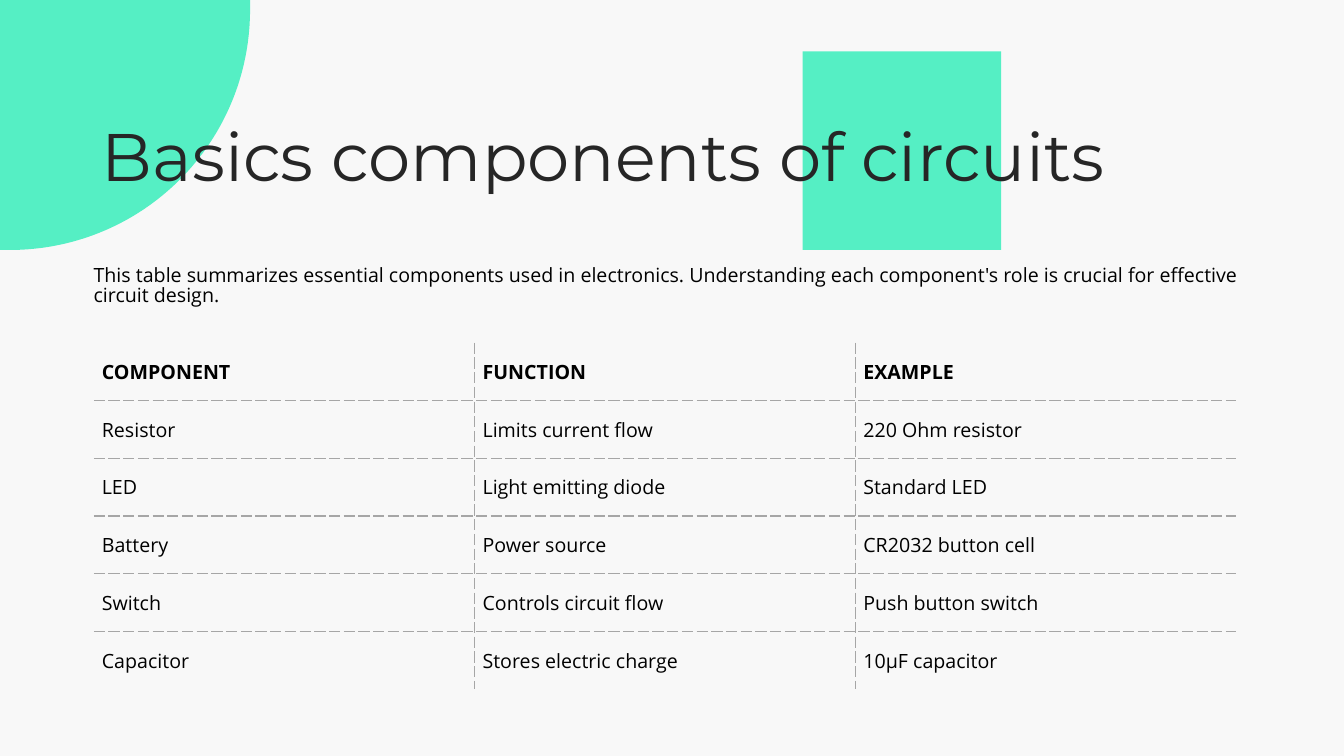
from math import cos, pi, sin

from lxml.etree import SubElement
from pptx import Presentation
from pptx.dml.color import RGBColor
from pptx.enum.shapes import MSO_SHAPE
from pptx.enum.text import MSO_ANCHOR
from pptx.oxml.ns import qn
from pptx.util import Inches, Pt

MINT, INK, BLACK, RULE, PAPER = "55EFC4", "262626", "000000", "A6A6A6", "F8F8F8"
HEADING_FONT, BODY_FONT = "Montserrat", "Open Sans"

INTRO = ("This table summarizes essential components used in electronics. "
         "Understanding each component's role is crucial for effective circuit design.")
COMPONENTS = [
    ("COMPONENT", "FUNCTION", "EXAMPLE"),
    ("Resistor", "Limits current flow", "220 Ohm resistor"),
    ("LED", "Light emitting diode", "Standard LED"),
    ("Battery", "Power source", "CR2032 button cell"),
    ("Switch", "Controls circuit flow", "Push button switch"),
    ("Capacitor", "Stores electric charge", "10µF capacitor"),
]


def paint(color_format, color):
    color_format.rgb = RGBColor.from_string(color)


def fill_shape(shape, color):
    shape.shadow.inherit = False
    shape.fill.solid()
    paint(shape.fill.fore_color, color)
    shape.line.fill.background()


def place(shape, box):
    shape.left, shape.top, shape.width, shape.height = map(Inches, box)


def write(para, text, size, font, color, bold=False):
    span = para.add_run()
    span.text = text
    span.font.size = Pt(size)
    span.font.name = font
    span.font.bold = bold
    paint(span.font.color, color)


def add_square(page, box):
    square = page.shapes.add_shape(MSO_SHAPE.RECTANGLE, *map(Inches, box))
    fill_shape(square, MINT)


def add_corner_disc(page, box, offset=0.1, steps=90):
    """Quarter disc whose centre lies slightly inside the box's top left corner."""
    left, top, width, height = box
    radius_x, radius_y = width - offset, height - offset
    angles = [pi / 2 * step / steps for step in range(steps + 1)]
    arc = [(left + offset + radius_x * cos(angle), top + offset + radius_y * sin(angle))
           for angle in angles]
    outline = [(left + width, top), *arc, (left, top + height)]
    builder = page.shapes.build_freeform(Inches(left), Inches(top))
    builder.add_line_segments([(Inches(x), Inches(y)) for x, y in outline], close=True)
    fill_shape(builder.convert_to_shape(), MINT)


def add_title(page, box, text):
    title = page.shapes.title
    place(title, box)
    page.shapes.element.append(title.element)  # bring in front of the decoration
    frame = title.text_frame
    frame.word_wrap = True
    frame.vertical_anchor = MSO_ANCHOR.TOP
    para = frame.paragraphs[0]
    para.alignment = 1
    para.line_spacing = 0.9
    write(para, text, 48, HEADING_FONT, INK)


def add_intro(page, box, text):
    frame = page.shapes.add_textbox(*map(Inches, box)).text_frame
    frame.word_wrap = True
    frame.vertical_anchor = MSO_ANCHOR.MIDDLE
    para = frame.paragraphs[0]
    para.line_spacing = 0.87
    write(para, text, 14, BODY_FONT, BLACK)


def set_borders(cell, visible_sides):
    """Dashed rules on the given sides, no line on the others."""
    properties = cell._tc.get_or_add_tcPr()
    for position, side in enumerate("LRTB"):
        border = SubElement(properties, qn(f"a:ln{side}"), w=str(Pt(1)))
        properties.insert(position, border)
        if side in visible_sides:
            solid = SubElement(border, qn("a:solidFill"))
            SubElement(solid, qn("a:srgbClr"), val=RULE)
            SubElement(border, qn("a:prstDash"), val="sysDash")
        else:
            SubElement(border, qn("a:noFill"))


def add_component_table(page, box, rows):
    row_count, column_count = len(rows), len(rows[0])
    table = page.shapes.add_table(row_count, column_count, *map(Inches, box)).table
    table.first_row = table.horz_banding = False
    for row_index, texts in enumerate(rows):
        for column_index, text in enumerate(texts):
            cell = table.cell(row_index, column_index)
            cell.fill.background()
            cell.vertical_anchor = MSO_ANCHOR.MIDDLE
            cell.margin_left = cell.margin_right = Inches(0.08)
            cell.margin_top = cell.margin_bottom = Inches(0.08)
            write(cell.text_frame.paragraphs[0], text, 14, BODY_FONT, BLACK,
                  bold=row_index == 0)
            # Only the inner grid is ruled
            inner = {"L": column_index > 0, "R": column_index < column_count - 1,
                     "T": row_index > 0, "B": row_index < row_count - 1}
            set_borders(cell, [side for side, ruled in inner.items() if ruled])


def main():
    deck = Presentation()
    deck.slide_width, deck.slide_height = Inches(13.33), Inches(7.5)
    page = deck.slides.add_slide(deck.slide_layouts[5])
    page.background.fill.solid()
    paint(page.background.fill.fore_color, PAPER)

    # Decoration
    add_square(page, (7.96, 0.51, 1.97, 1.97))
    add_corner_disc(page, (0, 0, 2.48, 2.48))

    # Content
    add_title(page, (0.91, 1.17, 11.6, 2.77), "Basics components of circuits")
    add_component_table(page, (0.93, 3.4, 11.33, 3.44), COMPONENTS)
    add_intro(page, (0.83, 2.41, 11.6, 0.86), INTRO)
    deck.save("out.pptx")


if __name__ == "__main__":
    main()
